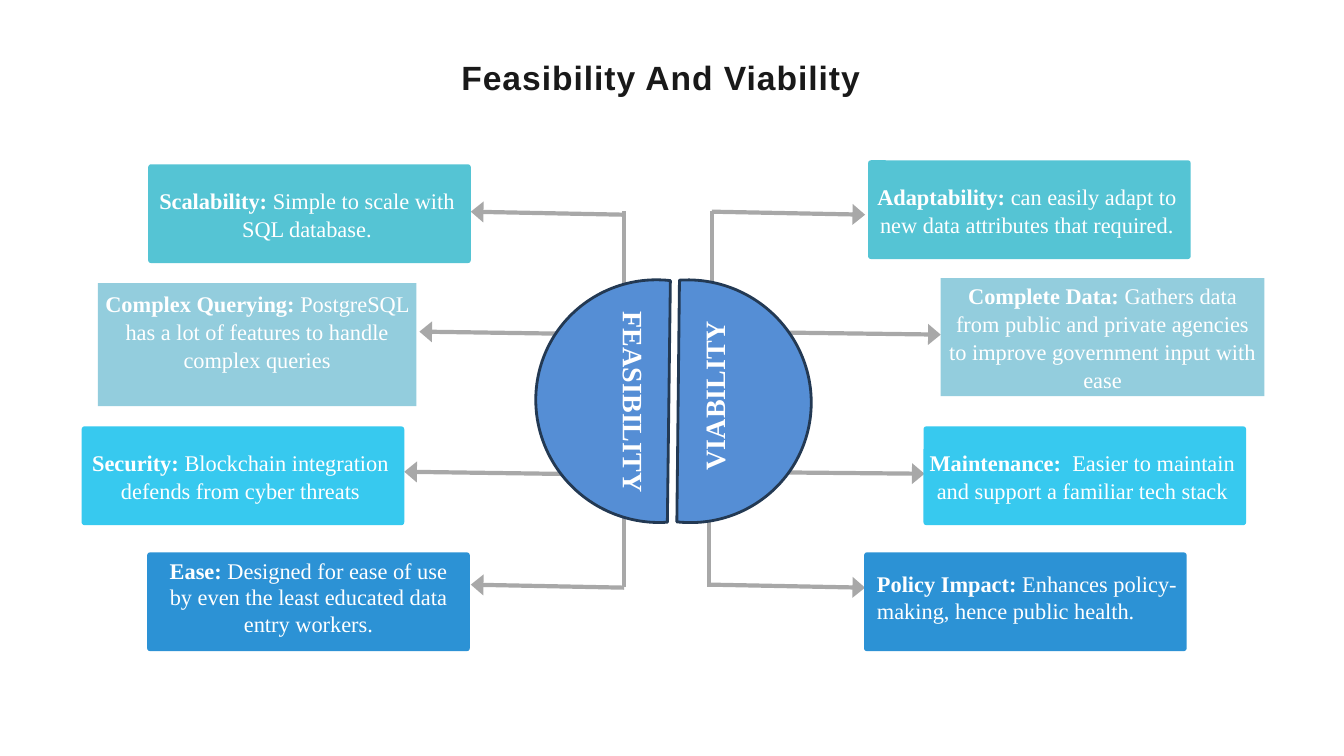
from lxml import etree
from pptx import Presentation
from pptx.dml.color import RGBColor
from pptx.enum.shapes import MSO_CONNECTOR, MSO_SHAPE
from pptx.enum.text import MSO_ANCHOR, PP_ALIGN
from pptx.oxml.ns import qn
from pptx.util import Inches, Pt

RECT, ROUND = MSO_SHAPE.RECTANGLE, MSO_SHAPE.ROUNDED_RECTANGLE
CHORD, LINE = MSO_SHAPE.CHORD, MSO_CONNECTOR.STRAIGHT
TOP, MID = MSO_ANCHOR.TOP, MSO_ANCHOR.MIDDLE
LEFT, CENTER = PP_ALIGN.LEFT, PP_ALIGN.CENTER
SERIF = "Times New Roman"
WHITE, GREY = "FFFFFF", "A8A8A8"
TEAL, PALE, SKY, BLUE = "55C4D4", "93CDDD", "37C9EF", "2C92D5"
EVEN = (0.04, 0.04, 0.04, 0.04)
SHIFT = (0.02, 0.04, 0.07, 0.04)

# box, kind, fill, heading, body, insets (left, top, right, bottom),
# anchor, alignment, line pitch in points
CARDS = [
    ((1.47, 1.63, 3.2, 0.98), ROUND, TEAL, "Scalability:",
     " Simple to scale with SQL database.", SHIFT, MID, CENTER, 20),
    ((0.97, 2.81, 3.16, 1.22), RECT, PALE, "Complex Querying:",
     " PostgreSQL has a lot of features to handle complex queries",
     (0.04, 0.04, 0.04, 0.32), MID, CENTER, 20),
    ((0.81, 4.23, 3.2, 0.98), ROUND, SKY, "Security:",
     " Blockchain integration defends from cyber threats",
     SHIFT, MID, CENTER, 20),
    ((1.46, 5.48, 3.2, 0.98), ROUND, BLUE, "Ease:",
     " Designed for ease of use by even the least educated data entry workers.",
     (0.14, 0.04, 0.14, 0.05), TOP, CENTER, 19),
    ((8.61, 1.59, 3.2, 0.98), ROUND, TEAL, "Adaptability: ",
     "can easily adapt to new data attributes that required.",
     SHIFT, MID, CENTER, 20),
    ((9.33, 2.76, 3.21, 1.17), RECT, PALE, "Complete Data:",
     " Gathers data from public and private agencies to improve "
     "government input with ease", EVEN, MID, CENTER, 20),
    ((9.16, 4.23, 3.2, 0.98), ROUND, SKY, "Maintenance: ",
     " Easier to maintain and support a familiar tech stack",
     SHIFT, MID, CENTER, 20),
    ((8.57, 5.48, 3.2, 0.98), ROUND, BLUE, "Policy Impact: ",
     "Enhances policy-making, hence public health.",
     (0.12, 0.17, 0.04, 0.05), TOP, LEFT, 19),
]

# start x, start y, tip x, tip y
ARROWS = [
    (6.19, 2.13, 4.67, 2.1), (6.2, 3.32, 4.16, 3.29),
    (6.17, 4.71, 4.01, 4.68), (6.19, 5.83, 4.67, 5.8),
    (7.06, 2.1, 8.58, 2.13), (7.04, 3.29, 9.33, 3.32),
    (7.03, 4.68, 9.17, 4.7), (7.04, 5.8, 8.58, 5.83),
]
STEMS = [
    (6.19, 3.29, 6.19, 2.09), (7.06, 3.26, 7.06, 2.09),
    (6.19, 5.82, 6.19, 4.91), (7.03, 5.82, 7.03, 4.91),
]
# chord box, turn, label, label box, label turn
HALVES = [
    ((5.62, 2.78, 2.43, 2.4), 210.5, "VIABILITY", (6.15, 3.61, 1.87, 0.44), 270),
    ((5.31, 2.78, 2.43, 2.4), 30.6, "FEASIBILITY", (5.22, 3.84, 2.13, 0.44), 90),
]


def color(text):
    return RGBColor.from_string(text)


def inches(box):
    return [Inches(n) for n in box]


def add_run(para, text, size, bold=True, face=SERIF, shade=WHITE):
    run = para.add_run()
    run.text = text
    font = run.font
    font.name, font.size, font.bold = face, Pt(size), bold
    font.color.rgb = color(shade)
    return run


def set_frame(frame, insets, anchor):
    frame.word_wrap = True
    frame.vertical_anchor = anchor
    (frame.margin_left, frame.margin_top,
     frame.margin_right, frame.margin_bottom) = inches(insets)


def add_title(slide, box):
    title = slide.shapes.title
    title.left, title.top, title.width, title.height = inches(box)
    set_frame(title.text_frame, (0, 0, 0, 0), TOP)
    para = title.text_frame.paragraphs[0]
    para.alignment, para.line_spacing = CENTER, Pt(31.4)
    run = add_run(para, "Feasibility And Viability", 24, face="Arial",
                  shade="191919")
    run.font._element.set("spc", "70")


def add_line(slide, ends, arrow=False):
    link = slide.shapes.add_connector(LINE, *inches(ends))
    link.line.color.rgb = color(GREY)
    link.line.width = Pt(3)
    if arrow:
        etree.SubElement(link.line._get_or_add_ln(), qn("a:tailEnd"),
                         type="triangle", w="lg", len="med")
    etree.SubElement(link._element.spPr, qn("a:effectLst"))


def add_half(slide, box, turn):
    half = slide.shapes.add_shape(CHORD, *inches(box))
    half.shadow.inherit = False
    # Angles of about 55 and 245 degrees, in units of 5/3 degree.
    half.adjustments[0], half.adjustments[1] = 32.96, 147.19
    half.rotation = turn
    half.fill.solid()
    half.fill.fore_color.rgb = color("558ED5")
    half.line.color.rgb = color("233953")
    half.line.width = Pt(2)


def add_label(slide, text, box, turn):
    label = slide.shapes.add_textbox(*inches(box))
    label.rotation = turn
    set_frame(label.text_frame, (0.1, 0.05, 0.1, 0.05), TOP)
    add_run(label.text_frame.paragraphs[0], text, 20)


def add_card(slide, box, kind, fill, head, body, insets, anchor, align, pitch):
    card = slide.shapes.add_shape(kind, *inches(box))
    card.shadow.inherit = False
    if kind == ROUND:
        card.adjustments[0] = 0.03
    card.fill.solid()
    card.fill.fore_color.rgb = color(fill)
    card.line.fill.background()
    set_frame(card.text_frame, insets, anchor)
    para = card.text_frame.paragraphs[0]
    para.alignment, para.line_spacing = align, Pt(pitch)
    add_run(para, head, 16)
    add_run(para, body, 16, bold=False)


def main():
    deck = Presentation()
    deck.slide_width, deck.slide_height = Inches(13.33), Inches(7.5)
    slide = deck.slides.add_slide(deck.slide_layouts[5])
    add_title(slide, (2.77, 0.53, 7.57, 0.41))
    for ends in ARROWS:
        add_line(slide, ends, arrow=True)
    for ends in STEMS:
        add_line(slide, ends)
    for box, turn, *_ in HALVES:
        add_half(slide, box, turn)
    for _, _, *label in HALVES:
        add_label(slide, *label)
    for card in CARDS:
        add_card(slide, *card)
    deck.save("out.pptx")


if __name__ == "__main__":
    main()
